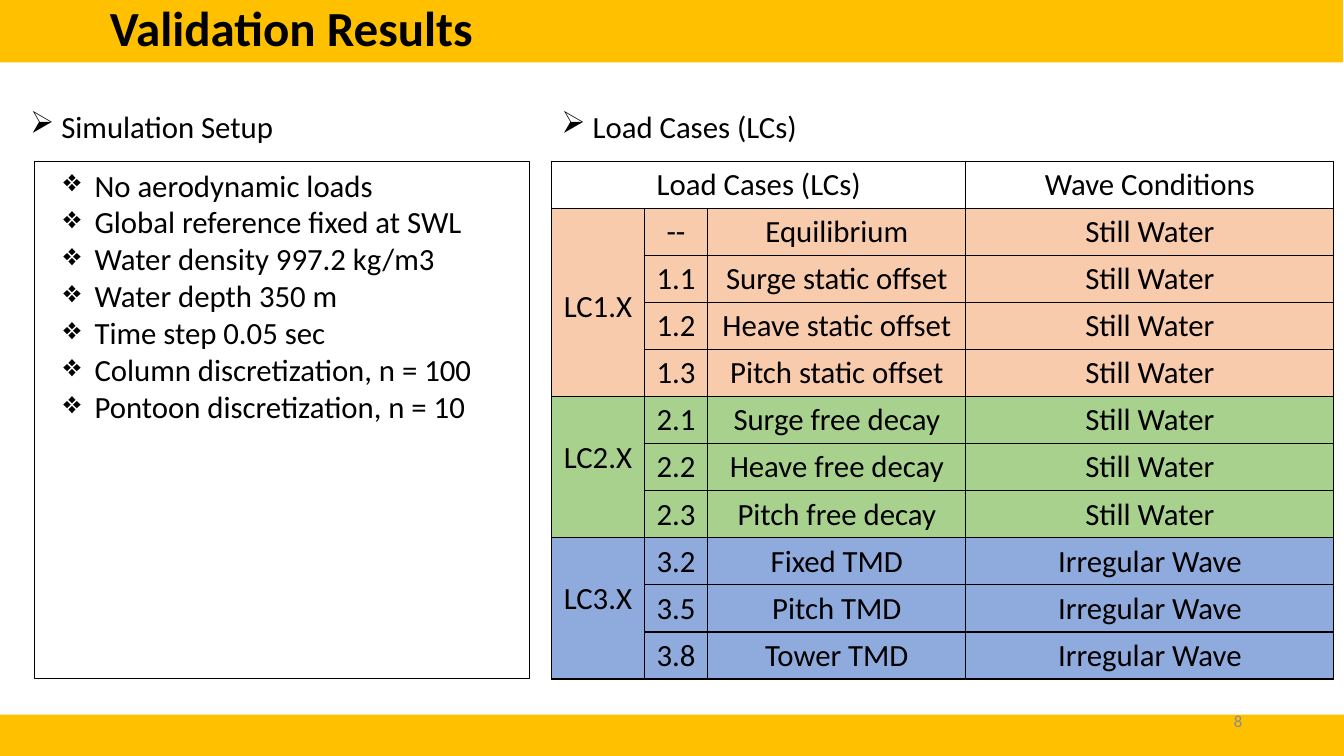
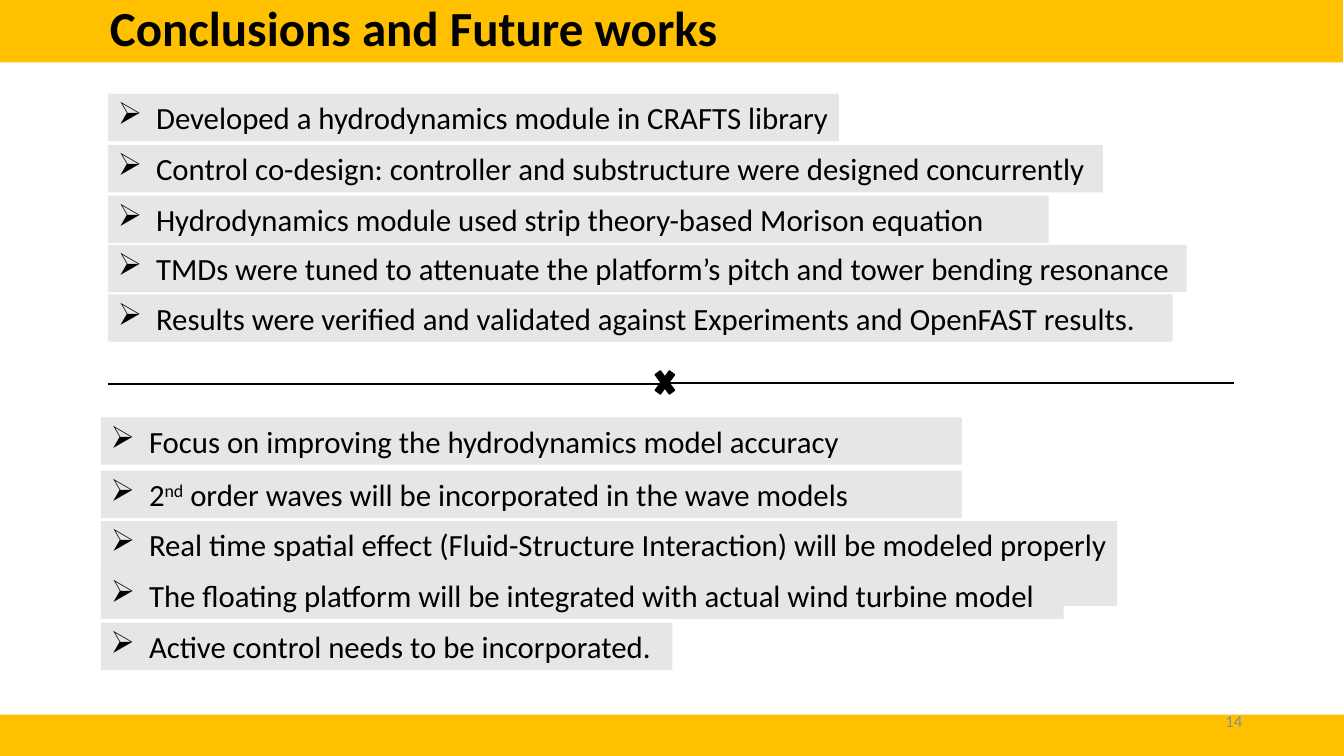
from lxml import etree
from pptx import Presentation
from pptx.dml.color import RGBColor
from pptx.enum.shapes import MSO_CONNECTOR, MSO_SHAPE
from pptx.enum.text import MSO_ANCHOR, PP_ALIGN
from pptx.oxml.ns import qn
from pptx.util import Inches, Pt

# Shared look
BLACK = RGBColor(0x00, 0x00, 0x00)
GOLD = RGBColor(0xFF, 0xC0, 0x00)
LIGHT_GRAY = RGBColor(0xE7, 0xE6, 0xE6)
NUMBER_GRAY = RGBColor(0x8C, 0x8C, 0x8C)
PEACH = RGBColor(0xF8, 0xCB, 0xAD)
GREEN = RGBColor(0xA9, 0xD1, 0x8E)
BLUE = RGBColor(0x8F, 0xAA, 0xDC)

BODY_FONT = {"name": "Calibri", "size": Pt(22)}
TITLE_FONT = {"name": "Calibri", "size": Pt(35), "bold": True}
NUMBER_FONT = {"name": "Calibri", "size": Pt(12)}
ARROW, DIAMONDS = "➢", "❖"
BAR_HEIGHT = 0.47
LINE_HEIGHT = 0.37

# Content
SETUP = [
    "No aerodynamic loads",
    "Global reference fixed at SWL",
    "Water density 997.2 kg/m3",
    "Water depth 350 m",
    "Time step 0.05 sec",
    "Column discretization, n = 100",
    "Pontoon discretization, n = 10",
]
LOAD_CASES = [
    ("LC1.X", PEACH, "Still Water", [
        ("--", "Equilibrium"), ("1.1", "Surge static offset"),
        ("1.2", "Heave static offset"), ("1.3", "Pitch static offset")]),
    ("LC2.X", GREEN, "Still Water", [
        ("2.1", "Surge free decay"), ("2.2", "Heave free decay"),
        ("2.3", "Pitch free decay")]),
    ("LC3.X", BLUE, "Irregular Wave", [
        ("3.2", "Fixed TMD"), ("3.5", "Pitch TMD"), ("3.8", "Tower TMD")]),
]
# Each bar: top, width, height, text runs (every second run is superscript)
CONCLUSIONS = [
    (0.93, 7.25, BAR_HEIGHT, ["Developed a hydrodynamics module in CRAFTS library"]),
    (1.44, 9.87, BAR_HEIGHT, ["Control co-design: controller and substructure were "
                              "designed concurrently"]),
    (1.94, 9.33, BAR_HEIGHT, ["Hydrodynamics module used strip theory-based Morison equation"]),
    (2.43, 10.7, BAR_HEIGHT, ["TMDs were tuned to attenuate the platform’s pitch and "
                              "tower bending resonance"]),
    (2.92, 10.56, BAR_HEIGHT, ["Results were verified and validated against Experiments "
                               "and OpenFAST results."]),
]
FUTURE_WORKS = [
    (4.14, 8.54, BAR_HEIGHT, ["Focus on improving the hydrodynamics model accuracy"]),
    (4.67, 8.54, BAR_HEIGHT, ["2", "nd", " order waves will be incorporated in the wave models"]),
    (5.17, 10.08, 0.84, ["Real time spatial effect (Fluid-Structure Interaction) "
                         "will be modeled properly"]),
    (5.67, 9.55, BAR_HEIGHT, ["The floating platform will be integrated with actual "
                              "wind turbine model"]),
    (6.18, 5.67, BAR_HEIGHT, ["Active control needs to be incorporated."]),
]


def set_values(target, values):
    for name, value in values.items():
        setattr(target, name, value)


def style_font(font, values=BODY_FONT, color=BLACK):
    set_values(font, values)
    font.color.rgb = color


def add_box(slide, box, fill=None, line=None, kind=MSO_SHAPE.RECTANGLE):
    shape = slide.shapes.add_shape(kind, *map(Inches, box))
    shape.shadow.inherit = False
    if fill is None:
        shape.fill.background()
    else:
        shape.fill.solid()
        shape.fill.fore_color.rgb = fill
    if line is None:
        shape.line.fill.background()
    else:
        shape.line.color.rgb = line
        shape.line.width = Pt(1)
    set_values(shape.text_frame, {"word_wrap": True, "vertical_anchor": MSO_ANCHOR.TOP})
    return shape


def add_text_box(slide, box):
    frame = slide.shapes.add_textbox(*map(Inches, box)).text_frame
    frame.word_wrap = True
    return frame


def write_bullet(paragraph, runs, bullet, indent):
    properties = paragraph._p.get_or_add_pPr()
    properties.set("marL", str(Inches(indent)))
    properties.set("indent", str(-Inches(indent)))
    etree.SubElement(properties, qn("a:buChar")).set("char", bullet)
    paragraph.alignment = PP_ALIGN.LEFT
    for index, text in enumerate(runs):
        run = paragraph.add_run()
        run.text = text
        style_font(run.font)
        if index % 2:
            run.font._element.set("baseline", "30000")


def add_bullet_list(slide, box, items, bullet):
    frame = add_text_box(slide, box)
    for index, item in enumerate(items):
        paragraph = frame.add_paragraph() if index else frame.paragraphs[0]
        write_bullet(paragraph, [item], bullet, 0.31)


def add_bars(slide, left, bars):
    for top, width, height, runs in bars:
        frame = add_box(slide, (left, top, width, height), LIGHT_GRAY).text_frame
        frame.margin_right = 0
        write_bullet(frame.paragraphs[0], runs, ARROW, 0.38)


def add_rule(slide, start, end, y):
    points = map(Inches, (start, y, end, y))
    rule = slide.shapes.add_connector(MSO_CONNECTOR.STRAIGHT, *points)
    rule.line.color.rgb = BLACK
    rule.line.width = Pt(1.5)
    etree.SubElement(rule._element.spPr, qn("a:effectLst"))


def add_cell_borders(cell):
    properties = cell._tc.get_or_add_tcPr()
    for side in ("lnL", "lnR", "lnT", "lnB"):
        border = etree.SubElement(properties, qn(f"a:{side}"), w=str(Pt(1)))
        fill = etree.SubElement(border, qn("a:solidFill"))
        etree.SubElement(fill, qn("a:srgbClr"), val=str(BLACK))


def write_cell(cell, text):
    paragraph = cell.text_frame.paragraphs[0]
    paragraph.text = text
    paragraph.alignment = PP_ALIGN.CENTER
    style_font(paragraph.font)


def add_load_case_table(slide, box):
    row_count = 1 + sum(len(cases) for _, _, _, cases in LOAD_CASES)
    table = slide.shapes.add_table(row_count, 4, *map(Inches, box)).table
    set_values(table, {"first_row": False, "horz_banding": False})
    for column, width in zip(table.columns, (0.92, 0.63, 2.56, 3.65)):
        column.width = Inches(width)
    for row in table.rows:
        row.height = Inches(box[3] / row_count)
    for cell in table.iter_cells():
        add_cell_borders(cell)
        cell.fill.background()
        style_font(cell.text_frame.paragraphs[0].font)

    # Header
    table.cell(0, 0).merge(table.cell(0, 2))
    write_cell(table.cell(0, 0), "Load Cases (LCs)")
    write_cell(table.cell(0, 3), "Wave Conditions")

    # One coloured group for each set of load cases
    first = 1
    for label, color, wave, cases in LOAD_CASES:
        for row, (number, name) in enumerate(cases, first):
            for column, text in enumerate(("", number, name, wave)):
                cell = table.cell(row, column)
                cell.fill.solid()
                cell.fill.fore_color.rgb = color
                if text:
                    write_cell(cell, text)
        group = table.cell(first, 0)
        group.merge(table.cell(first + len(cases) - 1, 0))
        group.margin_top = Inches(0.05 + LINE_HEIGHT * (len(cases) // 2))
        write_cell(group, label)
        first += len(cases)


def add_slide(presentation, title):
    slide = presentation.slides.add_slide(presentation.slide_layouts[6])
    add_box(slide, (0, 7.09, 13.33, 0.42), GOLD)
    frame = add_box(slide, (-0.01, -0.07, 13.33, 0.69), GOLD).text_frame
    frame.margin_left = Inches(1.1)
    paragraph = frame.paragraphs[0]
    paragraph.text = title
    paragraph.alignment = PP_ALIGN.LEFT
    style_font(paragraph.font, TITLE_FONT)
    return slide


def add_page_number(slide, number):
    frame = add_text_box(slide, (9.42, 6.95, 3, 0.4))
    frame.vertical_anchor = MSO_ANCHOR.MIDDLE
    paragraph = frame.paragraphs[0]
    paragraph.text = str(number)
    paragraph.alignment = PP_ALIGN.RIGHT
    style_font(paragraph.font, NUMBER_FONT, NUMBER_GRAY)


def build_validation(presentation):
    slide = add_slide(presentation, "Validation Results")
    for left, heading in ((0.2, "Simulation Setup"), (5.47, "Load Cases (LCs)")):
        add_bullet_list(slide, (left, 1.02, 2.71, 0.47), [heading], ARROW)
    add_bullet_list(slide, (0.53, 1.6, 4.5, 2.69), SETUP, DIAMONDS)
    add_load_case_table(slide, (5.47, 1.6, 7.75, 5.13))
    add_box(slide, (0.34, 1.6, 4.91, 5.13), line=BLACK)
    add_page_number(slide, 8)


def build_conclusions(presentation):
    slide = add_slide(presentation, "Conclusions and Future works")
    add_bars(slide, 1.07, CONCLUSIONS)
    add_bars(slide, 1, FUTURE_WORKS)
    # Divider with a cross in the middle
    add_rule(slide, 1.07, 6.63, 3.81)
    add_box(slide, (6.46, 3.61, 0.27, 0.37), BLACK, BLACK, MSO_SHAPE.MATH_MULTIPLY)
    add_rule(slide, 6.63, 12.24, 3.8)
    add_page_number(slide, 14)


def main():
    presentation = Presentation()
    set_values(presentation, {"slide_width": Inches(13.33), "slide_height": Inches(7.5)})
    build_validation(presentation)
    build_conclusions(presentation)
    presentation.save("out.pptx")


if __name__ == "__main__":
    main()
